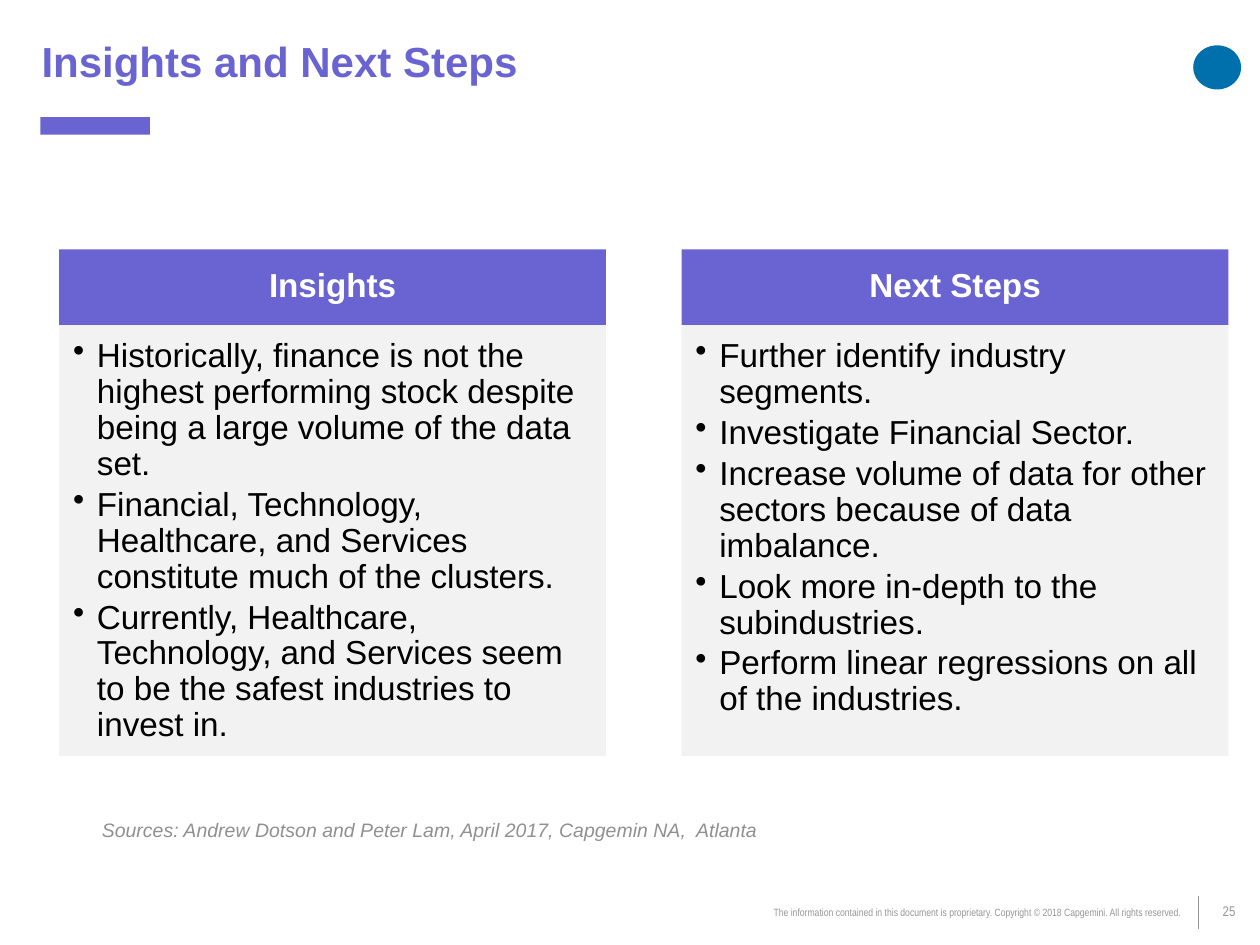
from dataclasses import dataclass

from lxml import etree
from pptx import Presentation
from pptx.dml.color import RGBColor
from pptx.enum.shapes import MSO_CONNECTOR, MSO_SHAPE
from pptx.enum.text import MSO_ANCHOR, PP_ALIGN
from pptx.oxml.ns import qn
from pptx.util import Inches, Pt

LEFT, CENTER, RIGHT = PP_ALIGN.LEFT, PP_ALIGN.CENTER, PP_ALIGN.RIGHT
TOP, MIDDLE = MSO_ANCHOR.TOP, MSO_ANCHOR.MIDDLE
RECTANGLE, OVAL = MSO_SHAPE.RECTANGLE, MSO_SHAPE.OVAL
STRAIGHT = MSO_CONNECTOR.STRAIGHT


@dataclass(frozen=True)
class Theme:
    accent: str = "6964D1"
    panel: str = "F2F2F2"
    white: str = "FFFFFF"
    text: str = "000000"
    source: str = "909090"
    footer: str = "969696"
    emblem: str = "0070AD"
    font: str = "Arial"
    narrow: str = "Arial Narrow"
    title_size: float = 24
    body_size: float = 19
    source_size: float = 11.1
    number_size: float = 8
    legal_size: float = 6


THEME = Theme()
DEFAULT_INSETS = (0.1, 0.05, 0.1, 0.05)

COLUMNS = {
    "Insights": [
        "Historically, finance is not the highest performing stock despite being a large volume of the data set.",
        "Financial, Technology, Healthcare, and Services constitute much of the clusters.",
        "Currently, Healthcare, Technology, and Services seem to be the safest industries to invest in.",
    ],
    "Next Steps": [
        "Further identify industry segments.",
        "Investigate Financial Sector.",
        "Increase volume of data for other sectors because of data imbalance.",
        "Look more in-depth to the subindustries.",
        "Perform linear regressions on all of the industries.",
    ],
}


def add_block(page, box, color, kind=RECTANGLE):
    block = page.shapes.add_shape(kind, *map(Inches, box))
    block.shadow.inherit = False
    block.fill.solid()
    block.fill.fore_color.rgb = RGBColor.from_string(color)
    block.line.fill.background()
    return block


def add_label(page, box):
    return page.shapes.add_textbox(*map(Inches, box))


def add_bullet(para):
    properties = para._p.get_or_add_pPr()
    properties.set("marL", str(Inches(0.19)))
    properties.set("indent", str(Inches(-0.19)))
    etree.SubElement(properties, qn("a:buChar")).set("char", "•")


def write(shape, lines, size, color, font=THEME.font, bold=False, italic=False,
          align=LEFT, anchor=TOP, insets=DEFAULT_INSETS, spacing=1.0,
          after=0, bullets=False):
    frame = shape.text_frame
    frame.word_wrap = True
    frame.vertical_anchor = anchor
    (frame.margin_left, frame.margin_top,
     frame.margin_right, frame.margin_bottom) = map(Inches, insets)
    frame.text = "\n".join(lines)
    for para in frame.paragraphs:
        if bullets:
            add_bullet(para)
        para.alignment = align
        para.line_spacing = spacing
        para.space_after = Pt(after)
        for span in para.runs:
            span.font.name = font
            span.font.size = Pt(size)
            span.font.bold = bold
            span.font.italic = italic
            span.font.color.rgb = RGBColor.from_string(color)


def add_header(page, box):
    left, top, width, height = box
    write(add_label(page, (left, top, width - 0.35, height)),
          ["Insights and Next Steps"], THEME.title_size, THEME.accent,
          bold=True, anchor=MIDDLE, insets=(0.33, 0.04, 0.18, 0.04))
    add_block(page, (left + 0.32, top + height, 0.87, 0.14), THEME.accent)
    add_block(page, (left + width - 0.53, top + 0.33, 0.38, 0.35),
              THEME.emblem, OVAL)


def add_column(page, box, heading, points):
    left, top, width, height = box
    heading_height = 0.6
    banner = add_block(page, (left, top, width, heading_height), THEME.accent)
    write(banner, [heading], THEME.body_size, THEME.white, bold=True,
          align=CENTER, anchor=MIDDLE, insets=(0.15, 0.08, 0.15, 0.08),
          spacing=0.9)
    panel = add_block(page, (left, top + heading_height, width,
                             height - heading_height), THEME.panel)
    write(panel, points, THEME.body_size, THEME.text,
          insets=(0.11, 0.11, 0.15, 0.17), spacing=0.9, after=2.85,
          bullets=True)


def add_columns(page, box):
    left, top, width, height = box
    gap = 0.6
    column_width = (width - gap * (len(COLUMNS) - 1)) / len(COLUMNS)
    for index, (heading, points) in enumerate(COLUMNS.items()):
        column_left = left + index * (column_width + gap)
        add_column(page, (column_left, top, column_width, height),
                   heading, points)


def add_source(page, box):
    write(add_label(page, box),
          ["Sources: Andrew Dotson and Peter Lam, April 2017, Capgemin NA,  Atlanta"],
          THEME.source_size, THEME.source, italic=True)


def add_footer(page, box):
    left, top, width, height = box
    divider_left = left + width - 0.49
    divider = page.shapes.add_connector(
        STRAIGHT, Inches(divider_left), Inches(top),
        Inches(divider_left), Inches(top + height))
    divider.line.color.rgb = RGBColor.from_string(THEME.footer)
    divider.line.width = Pt(0.75)
    etree.SubElement(divider._element.spPr, qn("a:effectLst"))
    write(add_label(page, (divider_left, top, 0.49, height)), ["25"],
          THEME.number_size, THEME.footer, font=THEME.narrow, align=CENTER,
          anchor=MIDDLE, spacing=0.85)
    write(add_label(page, (left, top + 0.05, divider_left - left - 0.04, 0.19)),
          ["The information contained in this document\u00a0is proprietary. "
           "Copyright © 2018 Capgemini. All rights reserved."],
          THEME.legal_size, THEME.footer, font=THEME.narrow, align=RIGHT,
          spacing=0.85)


def main():
    deck = Presentation()
    deck.slide_width, deck.slide_height = Inches(10), Inches(7.5)
    page = deck.slides.add_slide(deck.slide_layouts[6])
    add_header(page, (0, 0.03, 10, 0.9))
    add_columns(page, (0.47, 1.98, 9.28, 4.02))
    add_source(page, (0.71, 6.44, 7.94, 0.31))
    add_footer(page, (4.49, 7.11, 5.51, 0.26))
    deck.save("out.pptx")


if __name__ == "__main__":
    main()
